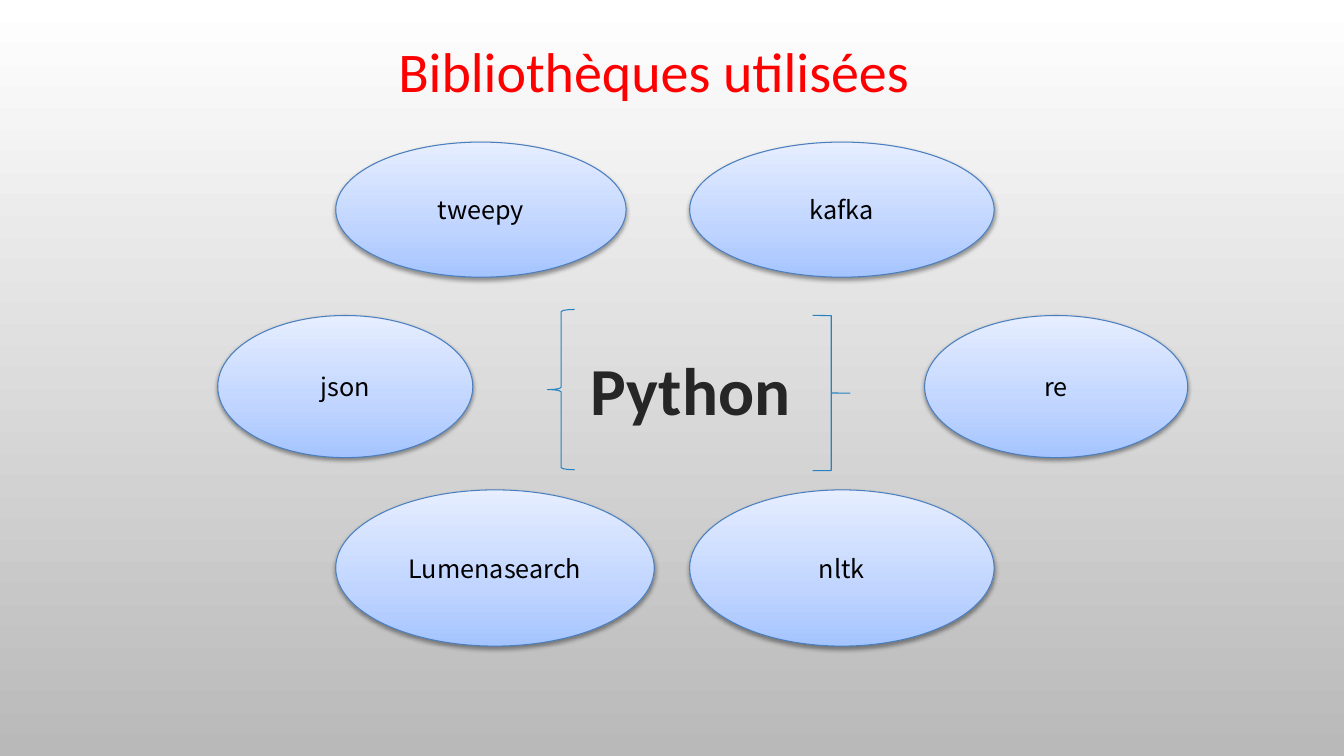
import copy

import pptx
import pptx.dml.color
import pptx.enum.shapes
import pptx.enum.text
import pptx.oxml
import pptx.oxml.ns
import pptx.util

Inches = pptx.util.Inches
Pt = pptx.util.Pt
MSO_SHAPE = pptx.enum.shapes.MSO_SHAPE
PP_ALIGN = pptx.enum.text.PP_ALIGN
MSO_ANCHOR = pptx.enum.text.MSO_ANCHOR
qn = pptx.oxml.ns.qn

BACKGROUND_STOPS = [(0, "FFFFFF"), (1, "B9B9B9")]
LIBRARY_STOPS = [(0, "A4C4FF"), (0.35, "BFD4FF"), (1, "E6EEFF")]
LIBRARY_ROWS = [
    (0, 1.34, [("tweepy", 1.17, 2.88), ("kafka", 4.68, 3.02)]),
    (1.72, 1.41, [("json", 0, 2.53), ("re", 7.01, 2.61)]),
    (3.45, 1.55, [("Lumenasearch", 1.17, 3.16), ("nltk", 4.68, 3.02)]),
]


def set_color(color_format, hex_color):
    color_format.rgb = pptx.dml.color.RGBColor.from_string(hex_color)


def set_gradient(fill, owner, stops, angle):
    fill.gradient()
    fill.gradient_angle = angle
    stop_list = owner.find(".//" + qn("a:gsLst"))
    while len(stop_list) < len(stops):
        stop_list.append(copy.deepcopy(stop_list[0]))
    for stop, (position, hex_color) in zip(fill.gradient_stops, stops):
        stop.position = position
        set_color(stop.color, hex_color)


def drawing_element(tag, content, **attributes):
    listed = "".join(f' {name}="{value}"' for name, value in attributes.items())
    namespace = pptx.oxml.ns.nsdecls("a")
    return pptx.oxml.parse_xml(f"<a:{tag} {namespace}{listed}>{content}</a:{tag}>")


def outer_shadow(blur, distance, angle, opacity):
    color = f'<a:srgbClr val="000000"><a:alpha val="{opacity * 1000}"/></a:srgbClr>'
    return drawing_element("outerShdw", color, blurRad=Pt(blur), dist=Pt(distance),
                           dir=angle * 60000, algn="tl", rotWithShape=0)


def write(frame, text, font_name, size, hex_color, align, bold=False):
    frame.text = text
    paragraph = frame.paragraphs[0]
    paragraph.alignment = align
    paragraph.font.name = font_name
    paragraph.font.size = Pt(size)
    paragraph.font.bold = bold
    set_color(paragraph.font.color, hex_color)
    return paragraph.runs[0]


def outline_text(run, hex_color, width):
    color = f'<a:solidFill><a:srgbClr val="{hex_color}"/></a:solidFill>'
    properties = run.font._element
    properties.insert(0, drawing_element("ln", color, w=Pt(width)))
    return properties


def place_title(slide, left, top, width, height):
    title = slide.shapes.title
    title.left, title.top = Inches(left), Inches(top)
    title.width, title.height = Inches(width), Inches(height)
    frame = title.text_frame
    frame.word_wrap = False
    frame.auto_size = pptx.enum.text.MSO_AUTO_SIZE.SHAPE_TO_FIT_TEXT
    frame.vertical_anchor = MSO_ANCHOR.TOP
    heading = write(frame, "Bibliothèques utilisées", "Calibri", 40, "FF0000", PP_ALIGN.LEFT)
    outline_text(heading, "984807", 0)


def add_library(slide, name, left, top, width, height):
    library = slide.shapes.add_shape(MSO_SHAPE.OVAL, Inches(left), Inches(top),
                                     Inches(width), Inches(height))
    set_gradient(library.fill, library._element, LIBRARY_STOPS, 90)
    set_color(library.line.color, "4B7EBC")
    library.line.width = Pt(0.75)
    library.shadow.inherit = False
    effects = library._element.spPr.find(qn("a:effectLst"))
    effects.append(outer_shadow(3.1, 1.6, 90, 38))
    library.text_frame.vertical_anchor = MSO_ANCHOR.MIDDLE
    write(library.text_frame, name, "Noto Sans CJK KR", 18, "000000", PP_ALIGN.CENTER)


def place_libraries(slide, left, top):
    for row_top, height, libraries in LIBRARY_ROWS:
        for name, offset, width in libraries:
            add_library(slide, name, left + offset, top + row_top, width, height)


def add_brace(slide, kind, left, top, width, height):
    brace = slide.shapes.add_shape(kind, Inches(left), Inches(top), Inches(width), Inches(height))
    brace.fill.background()
    set_color(brace.line.color, "2683BF")
    brace.line.width = Pt(0.75)
    brace.shadow.inherit = False
    return brace


def place_language(slide, left, top):
    label = slide.shapes.add_textbox(Inches(left + 0.33), Inches(top + 0.34),
                                     Inches(2.24), Inches(0.91))
    label.text_frame.word_wrap = True
    label.text_frame.auto_size = pptx.enum.text.MSO_AUTO_SIZE.SHAPE_TO_FIT_TEXT
    language = write(label.text_frame, "Python", "Calibri", 48, "262626", PP_ALIGN.LEFT, True)
    properties = outline_text(language, "FFFFFF", 1.06)
    effects = drawing_element("effectLst", "")
    effects.append(outer_shadow(4, 3, 45, 60))
    properties.append(effects)
    right_brace = add_brace(slide, MSO_SHAPE.RIGHT_BRACE, left + 2.63, top + 0.06, 0.37, 1.54)
    right_brace.adjustments[0] = 0.006
    add_brace(slide, MSO_SHAPE.LEFT_BRACE, left, top, 0.27, 1.59)


def build_libraries_slide(presentation):
    slide = presentation.slides.add_slide(presentation.slide_layouts[5])
    set_gradient(slide.background.fill, slide._element, BACKGROUND_STOPS, 270)
    place_title(slide, 3.85, 0.31, 5.32, 0.77)
    place_libraries(slide, 2.16, 1.41)
    place_language(slide, 5.43, 3.07)


presentation = pptx.Presentation()
presentation.slide_width = Inches(13.33)
presentation.slide_height = Inches(7.5)
build_libraries_slide(presentation)
presentation.save("out.pptx")
